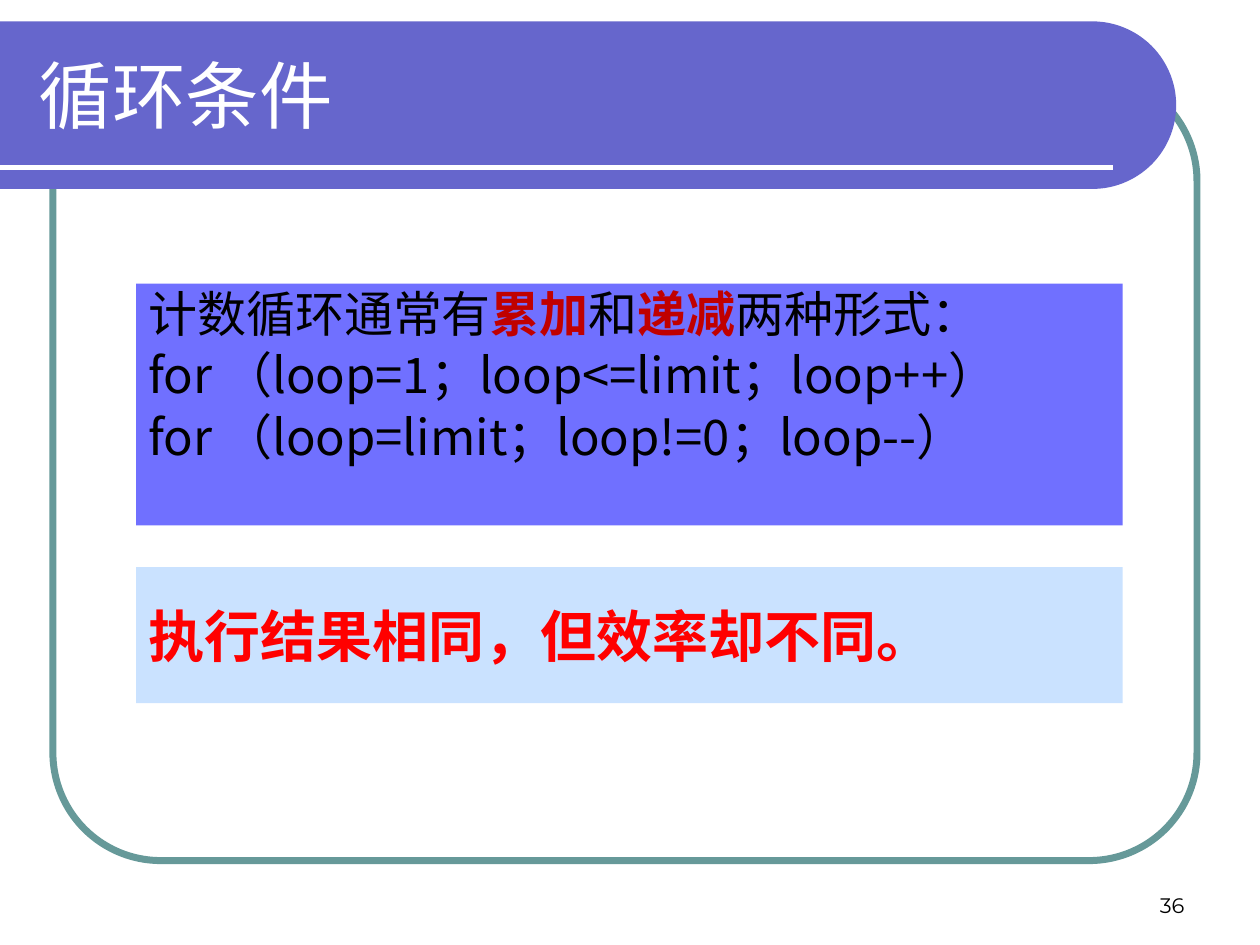
from math import cos, pi, sin

from lxml.etree import SubElement
from pptx import Presentation
from pptx.dml.color import RGBColor
from pptx.enum.shapes import MSO_CONNECTOR, MSO_SHAPE
from pptx.enum.text import MSO_ANCHOR, PP_ALIGN
from pptx.oxml.ns import qn
from pptx.util import Inches, Pt

WHITE = RGBColor(0xFF, 0xFF, 0xFF)
BLACK = RGBColor(0x00, 0x00, 0x00)
RED = RGBColor(0xFF, 0x00, 0x00)
DARK_RED = RGBColor(0xC0, 0x00, 0x00)
TEAL = RGBColor(0x66, 0x99, 0x99)
INDIGO = RGBColor(0x66, 0x66, 0xCC)
VIOLET = RGBColor(0x70, 0x70, 0xFF)
PALE_BLUE = RGBColor(0xCA, 0xE2, 0xFF)

TITLE_FONT = "Noto Sans CJK SC"
BODY_FONT = "Noto Sans CJK JP"
NUMBER_FONT = "Montserrat"


def apply_format(target, values):
    """Set each attribute named in values on target."""
    for name, value in values.items():
        setattr(target, name, value)


def write_text(shape, paragraphs, font, color, anchor, layout):
    """Fill a shape with paragraphs, each a list of (text, run format) pairs."""
    frame = shape.text_frame
    apply_format(frame, {"word_wrap": True, "vertical_anchor": anchor})
    for index, runs in enumerate(paragraphs):
        paragraph = frame.add_paragraph() if index else frame.paragraphs[0]
        apply_format(paragraph, layout)
        if index == 0:
            paragraph.space_before = Pt(0)
        for text, emphasis in runs:
            run = paragraph.add_run()
            run.text = text
            apply_format(run.font, font | {"bold": emphasis.get("bold", font.get("bold", False))})
            run.font.color.rgb = emphasis.get("color", color)
            east_asian = SubElement(run._r.get_or_add_rPr(), qn("a:ea"))
            east_asian.set("typeface", font["name"])


def add_panel(slide, box, fill):
    """Add a plain filled rectangle."""
    panel = slide.shapes.add_shape(MSO_SHAPE.RECTANGLE, *map(Inches, box))
    panel.shadow.inherit = False
    panel.fill.solid()
    panel.fill.fore_color.rgb = fill
    panel.line.fill.background()
    return panel


def add_frame(slide):
    """Add the rounded outline around the content."""
    frame = slide.shapes.add_shape(
        MSO_SHAPE.ROUNDED_RECTANGLE, *map(Inches, (0.42, 0.58, 9.08, 6.25)))
    frame.adjustments[0] = 0.137
    frame.shadow.inherit = False
    frame.fill.background()
    frame.line.color.rgb = TEAL
    frame.line.width = Pt(4)


def add_banner(slide):
    """Add the title banner with its half-round end and the rule across it."""
    top, bottom, arc_x, steps = 0.17, 1.5, 8.67, 60
    radius = (bottom - top) / 2
    angles = [pi * step / steps - pi / 2 for step in range(steps + 1)]
    arc = [(arc_x + radius * cos(a), top + radius + radius * sin(a)) for a in angles]
    builder = slide.shapes.build_freeform(0, Inches(top), scale=1.0)
    builder.add_line_segments(
        [(Inches(x), Inches(y)) for x, y in arc + [(0, bottom)]], close=True)
    banner = builder.convert_to_shape()
    banner.shadow.inherit = False
    banner.fill.solid()
    banner.fill.fore_color.rgb = INDIGO
    banner.line.fill.background()

    rule = slide.shapes.add_connector(
        MSO_CONNECTOR.STRAIGHT, 0, Inches(1.33), Inches(8.83), Inches(1.33))
    rule.line.color.rgb = WHITE
    rule.line.width = Pt(3)
    SubElement(rule._element.spPr, qn("a:effectLst"))


def main():
    """Build the slide and save it."""
    deck = Presentation()
    apply_format(deck, {"slide_width": Inches(10), "slide_height": Inches(7.5)})
    slide = deck.slides.add_slide(deck.slide_layouts[6])
    add_frame(slide)
    add_banner(slide)

    title = slide.shapes.add_textbox(*map(Inches, (0.21, 0.25, 8.77, 1)))
    write_text(title, [[("循环条件", {})]], {"name": TITLE_FONT, "size": Pt(42)},
               WHITE, MSO_ANCHOR.MIDDLE, {"alignment": PP_ALIGN.LEFT})

    key_term = {"bold": True, "color": DARK_RED}
    loop_forms = [
        [("计数循环通常有", {}), ("累加", key_term), ("和", {}),
         ("递减", key_term), ("两种形式：", {})],
        [("for （loop=1；loop<=limit；loop++）", {})],
        [("for （loop=limit；loop!=0；loop--）", {})],
    ]
    write_text(add_panel(slide, (1.08, 2.25, 7.83, 1.92), VIOLET), loop_forms,
               {"name": BODY_FONT, "size": Pt(28)}, BLACK, MSO_ANCHOR.TOP,
               {"alignment": PP_ALIGN.JUSTIFY, "line_spacing": 0.9, "space_before": Pt(5)})

    page_number = slide.shapes.add_textbox(*map(Inches, (7.17, 6.83, 2.33, 0.5)))
    write_text(page_number, [[("36", {})]], {"name": NUMBER_FONT, "size": Pt(12)},
               BLACK, MSO_ANCHOR.BOTTOM, {"alignment": PP_ALIGN.RIGHT})

    write_text(add_panel(slide, (1.08, 4.5, 7.83, 1.08), PALE_BLUE),
               [[("执行结果相同，但效率却不同。", {})]],
               {"name": BODY_FONT, "size": Pt(32), "bold": True}, RED,
               MSO_ANCHOR.MIDDLE, {"alignment": PP_ALIGN.JUSTIFY})

    deck.save("out.pptx")


main()
